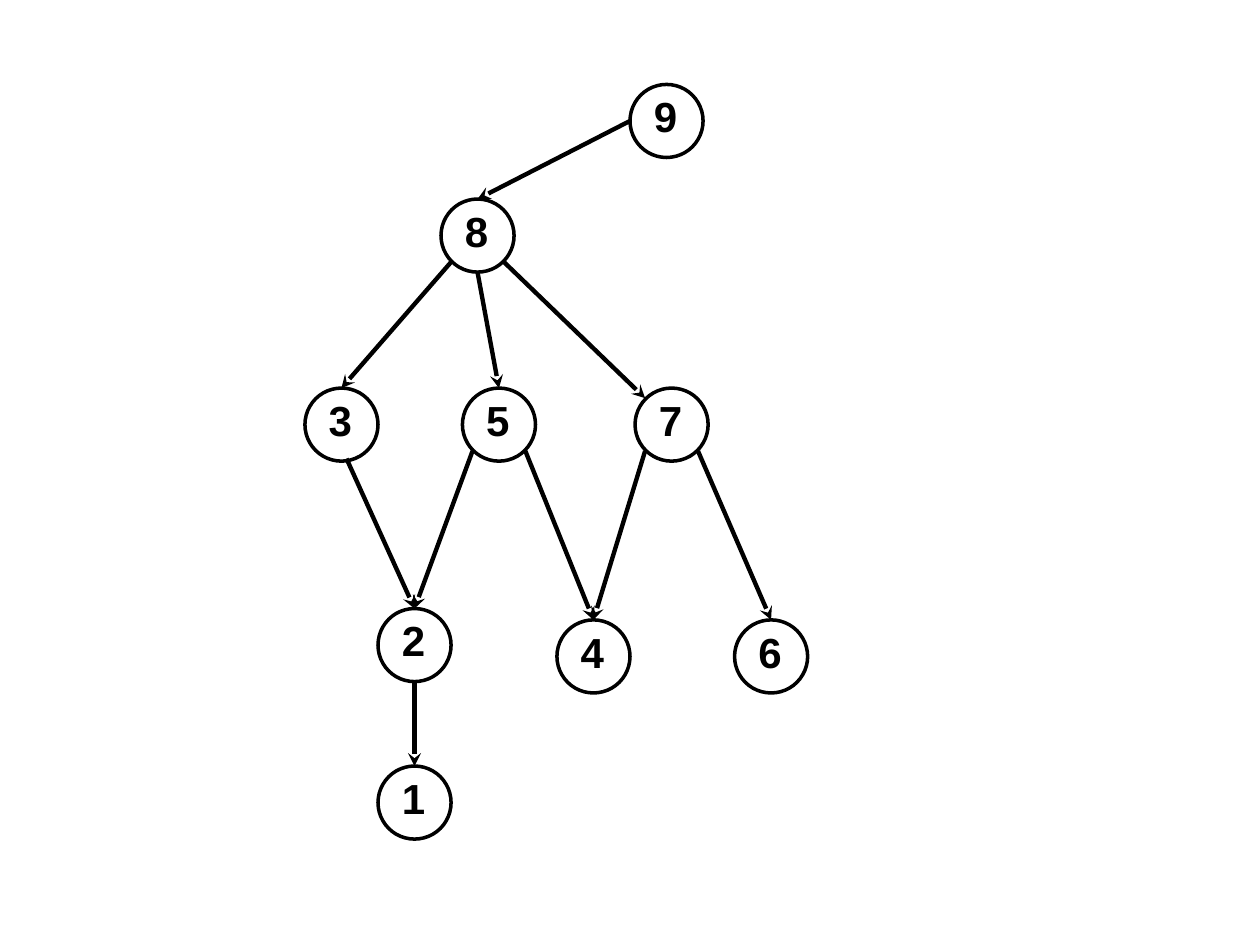
from typing import NamedTuple

from lxml import etree
from pptx import Presentation
from pptx import util as u
from pptx.dml.color import RGBColor
from pptx.enum import shapes, text
from pptx.oxml.ns import qn

COLORS = {"ink": "000000", "paper": "FFFFFF"}
DIAMETER = 0.58
RADIUS = DIAMETER / 2
DIAGONAL = 0.21
LABEL_FONT = {"name": "Arial", "size": u.Pt(24), "bold": True}
LABEL_FRAME = {
    "word_wrap": False,
    "vertical_anchor": text.MSO_ANCHOR.TOP,
    "auto_size": text.MSO_AUTO_SIZE.SHAPE_TO_FIT_TEXT,
}
SITES = {
    "top": (0, -RADIUS),
    "left": (-RADIUS, 0),
    "bottom": (0, RADIUS),
    "top left": (-DIAGONAL, -DIAGONAL),
    "bottom left": (-DIAGONAL, DIAGONAL),
    "bottom right": (DIAGONAL, DIAGONAL),
    "lower rim": (0.04, 0.27),
}


class Node(NamedTuple):
    label: str
    left: float
    top: float

    def site(self, name: str) -> tuple:
        dx, dy = SITES[name]
        return u.Inches(self.left + RADIUS + dx), u.Inches(self.top + RADIUS + dy)


class Edge(NamedTuple):
    parent: str
    leaving: str
    child: str
    entering: str = "top"


NODES = [
    Node("8", 3.5, 1.58),
    Node("1", 3, 6.08),
    Node("2", 3, 4.83),
    Node("3", 2.42, 3.08),
    Node("4", 4.42, 4.92),
    Node("5", 3.67, 3.08),
    Node("6", 5.83, 4.92),
    Node("7", 5.04, 3.08),
    Node("9", 5, 0.67),
]
EDGES = [
    Edge("8", "bottom", "5"),
    Edge("8", "bottom left", "3"),
    Edge("8", "bottom right", "7", "top left"),
    Edge("9", "left", "8"),
    Edge("5", "bottom right", "4"),
    Edge("7", "bottom left", "4"),
    Edge("7", "bottom right", "6"),
    Edge("3", "lower rim", "2"),
    Edge("5", "bottom left", "2"),
    Edge("2", "bottom", "1"),
]


def color(name: str) -> RGBColor:
    return RGBColor.from_string(COLORS[name])


def apply(target, values: dict) -> None:
    for attribute, value in values.items():
        setattr(target, attribute, value)


def draw_node(slide, node: Node) -> None:
    group = slide.shapes.add_group_shape()
    label = group.shapes.add_textbox(
        u.Inches(node.left + 0.09), u.Inches(node.top), u.Inches(0.38), u.Inches(0.5)
    )
    apply(label.text_frame, LABEL_FRAME)
    run = label.text_frame.paragraphs[0].add_run()
    run.text = node.label
    apply(run.font, LABEL_FONT)
    run.font.color.rgb = color("ink")

    circle = group.shapes.add_shape(
        shapes.MSO_SHAPE.OVAL,
        u.Inches(node.left), u.Inches(node.top), u.Inches(DIAMETER), u.Inches(DIAMETER),
    )
    circle.shadow.inherit = False
    circle.fill.background()
    circle.line.color.rgb = color("ink")
    circle.line.width = u.Pt(2)


def draw_edge(slide, edge: Edge, nodes: dict) -> None:
    arrow = slide.shapes.add_connector(
        shapes.MSO_CONNECTOR.STRAIGHT,
        *nodes[edge.parent].site(edge.leaving),
        *nodes[edge.child].site(edge.entering),
    )
    arrow.line.color.rgb = color("ink")
    arrow.line.width = u.Pt(2.5)
    etree.SubElement(arrow.line._get_or_add_ln(), qn("a:tailEnd"), type="stealth")
    etree.SubElement(arrow._element.spPr, qn("a:effectLst"))


def main() -> None:
    deck = Presentation()
    deck.slide_width, deck.slide_height = u.Inches(10), u.Inches(7.5)
    slide = deck.slides.add_slide(deck.slide_layouts[6])
    slide.background.fill.solid()
    slide.background.fill.fore_color.rgb = color("paper")

    for node in NODES:
        draw_node(slide, node)
    nodes = {node.label: node for node in NODES}
    for edge in EDGES:
        draw_edge(slide, edge, nodes)
    deck.save("out.pptx")


if __name__ == "__main__":
    main()
